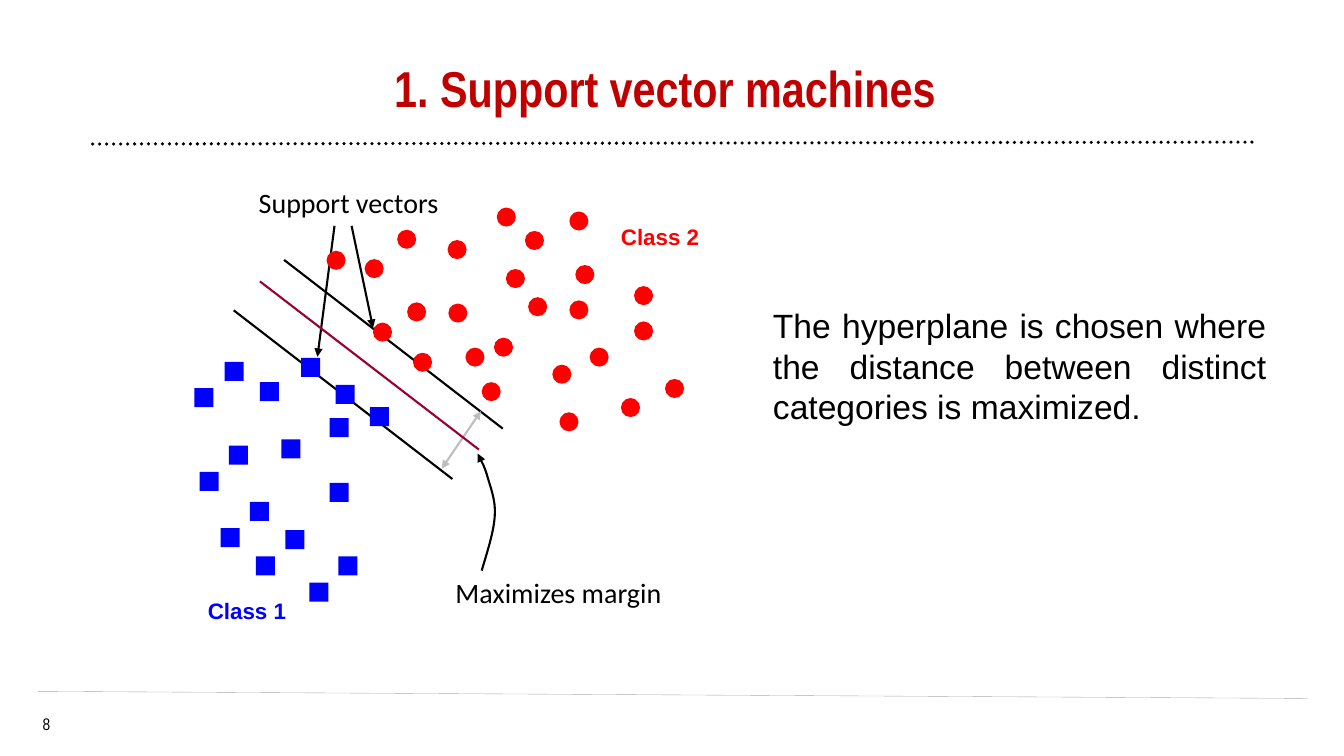
from dataclasses import dataclass
from typing import Optional

from lxml.etree import SubElement
from pptx import Presentation
from pptx.dml.color import RGBColor as Color
from pptx.enum.dml import MSO_LINE as Dash
from pptx.enum.shapes import MSO_CONNECTOR as Connector, MSO_SHAPE as Preset
from pptx.enum.text import MSO_ANCHOR as Anchor, MSO_AUTO_SIZE as AutoSize, PP_ALIGN as Align
from pptx.oxml.ns import qn
from pptx.util import Cm, Pt


@dataclass(frozen=True)
class Theme:
    black: str = "000000"
    title: str = "C00000"
    class_one: str = "0000FF"
    class_two: str = "FF0000"
    hyperplane: str = "990033"
    margin: str = "BDBEC0"
    footer: str = "A6AAA9"
    heading_font: str = "Arial Narrow"
    body_font: str = "Arial"
    note_font: str = "Calibri"
    title_size: int = 36
    body_size: int = 24
    note_size: int = 20
    class_size: int = 16
    number_size: int = 12


THEME = Theme()


@dataclass(frozen=True)
class Label:
    text: str
    area: tuple[float, float, float, float]
    font: str
    size: int
    color: str = THEME.black
    bold: bool = False
    align: Align = Align.LEFT
    wrap: bool = True
    inset: bool = True


@dataclass(frozen=True)
class Line:
    start: tuple[float, float]
    end: tuple[float, float]
    color: str = THEME.black
    width: float = 1.5
    dash: Optional[Dash] = None
    arrows: tuple[str, ...] = ()


@dataclass(frozen=True)
class Markers:
    preset: Preset
    fill: str
    corners: tuple[tuple[float, float], ...]


HEAD, TAIL = "a:headEnd", "a:tailEnd"
MARKER_SIZE = Cm(0.48)

LINES = (
    Line((0.94, 17.42), (32.97, 17.6), THEME.footer, 0.25),
    Line((31.55, 3.58), (2.24, 3.63), width=2.5, dash=Dash.ROUND_DOT),
    Line((7.16, 6.55), (12.67, 10.8)),
    Line((5.89, 7.82), (11.4, 12.07)),
    Line((8.43, 5.69), (8, 8.99), arrows=(TAIL,)),
    Line((8.86, 5.69), (9.4, 8.26), arrows=(TAIL,)),
    Line((11.13, 11.81), (12.12, 10.36), THEME.margin, arrows=(HEAD, TAIL)),
)
HYPERPLANE = Line((6.55, 7.09), (12.07, 11.33), THEME.hyperplane)

MARGIN_CURVE = (
    (12.14, 14.38),
    (12.29, 13.87), (12.45, 13.39), (12.47, 12.98),
    (12.5, 12.6), (12.34, 12.22), (12.27, 11.96),
    (12.19, 11.71), (12.07, 11.51), (12.04, 11.43),
)

CLASSES = (
    Markers(Preset.OVAL, THEME.class_two, (
        (9.19, 6.53), (8.23, 6.32), (12.14, 9.63), (10.26, 7.62), (11.73, 8.76),
        (11.3, 7.65), (14.35, 5.33), (12.75, 6.78), (14.35, 7.57), (11.28, 6.05),
        (13.23, 5.82), (12.45, 8.51), (12.52, 5.23), (15.98, 7.21), (14.5, 6.68),
        (13.31, 7.49), (13.92, 9.19), (10.01, 5.79), (16.76, 9.55), (14.86, 8.76),
        (15.65, 10.03), (15.98, 8.1), (14.1, 10.39), (9.4, 8.13), (10.41, 8.89))),
    Markers(Preset.RECTANGLE, THEME.class_one, (
        (8.31, 10.54), (6.55, 9.63), (5.77, 11.23), (8.31, 12.17), (7.59, 9.02),
        (8.46, 9.7), (9.32, 10.26), (7.09, 11.07), (6.3, 12.65), (7.19, 13.36),
        (5.03, 11.89), (5.56, 13.31), (6.45, 14.02), (5.66, 9.12), (4.9, 9.78),
        (8.53, 14.02), (7.8, 14.68))),
)

TITLE = Label("1. Support vector machines", (9.68, 1.32, 15.39, 1.96),
              THEME.heading_font, THEME.title_size, THEME.title, bold=True)
LABELS = (
    Label("8", (0.56, 17.98, 1.22, 0.51), THEME.heading_font, THEME.number_size,
          align=Align.CENTER, inset=False),
    Label("Support vectors", (6.27, 4.55, 5.08, 1.12), THEME.note_font,
          THEME.note_size, wrap=False),
    Label("Maximizes margin", (11.23, 14.38, 7.32, 1.12), THEME.note_font, THEME.note_size),
    Label("Class 2", (15.29, 5.51, 2.69, 0.94), THEME.body_font, THEME.class_size,
          THEME.class_two, bold=True, align=Align.CENTER),
    Label("Class 1", (4.88, 14.91, 2.69, 0.94), THEME.body_font, THEME.class_size,
          THEME.class_one, bold=True, align=Align.CENTER),
    Label("The hyperplane is chosen where the distance between distinct categories is maximized.",
          (19.23, 7.57, 12.93, 3.33), THEME.body_font, THEME.body_size, align=Align.JUSTIFY),
)


def write_label(box, label: Label) -> None:
    box.left, box.top, box.width, box.height = map(Cm, label.area)
    frame = box.text_frame
    frame.text = label.text
    frame.word_wrap = label.wrap
    frame.auto_size = AutoSize.NONE
    if not label.inset:
        frame.margin_left = frame.margin_right = frame.margin_top = frame.margin_bottom = 0
    para = frame.paragraphs[0]
    para.alignment = label.align
    font = para.runs[0].font
    font.name, font.size, font.bold = label.font, Pt(label.size), label.bold
    font.color.rgb = Color.from_string(label.color)


def add_title(page) -> None:
    title = page.shapes.title
    write_label(title, TITLE)
    title.text_frame.vertical_anchor = Anchor.MIDDLE
    title.text_frame.paragraphs[0].line_spacing = 0.9


def style_line(shape, color: str, width: float, arrows: tuple[str, ...]) -> None:
    shape.line.color.rgb = Color.from_string(color)
    shape.line.width = Pt(width)
    for arrow in arrows:
        SubElement(shape.line._get_or_add_ln(), qn(arrow), type="triangle")


def add_line(page, line: Line) -> None:
    connector = page.shapes.add_connector(
        Connector.STRAIGHT, *map(Cm, line.start + line.end))
    if line.dash is not None:
        connector.line.dash_style = line.dash
        connector.line._get_or_add_ln().set("cap", "rnd")
    style_line(connector, line.color, line.width, line.arrows)
    SubElement(connector._element.spPr, qn("a:effectLst"))


def add_markers(page, markers: Markers) -> None:
    for left, top in markers.corners:
        marker = page.shapes.add_shape(
            markers.preset, Cm(left), Cm(top), MARKER_SIZE, MARKER_SIZE)
        marker.shadow.inherit = False
        marker.fill.solid()
        marker.fill.fore_color.rgb = Color.from_string(markers.fill)
        marker.line.fill.background()


def add_margin_curve(page) -> None:
    points = [(Cm(x), Cm(y)) for x, y in MARGIN_CURVE]
    builder = page.shapes.build_freeform(*points[0])
    builder.add_line_segments(points[1:], close=False)
    curve = builder.convert_to_shape()
    segments = list(curve._element.iter(qn("a:lnTo")))
    for first in range(0, len(segments), 3):
        bezier = SubElement(segments[first].getparent(), qn("a:cubicBezTo"))
        for segment in segments[first:first + 3]:
            bezier.append(segment[0])
            segment.getparent().remove(segment)
    curve.shadow.inherit = False
    curve.fill.background()
    style_line(curve, THEME.black, 1.5, (TAIL,))


def main() -> None:
    deck = Presentation()
    deck.slide_width, deck.slide_height = Cm(33.87), Cm(19.05)
    page = deck.slides.add_slide(deck.slide_layouts.get_by_name("Title Only"))
    add_title(page)
    for line in LINES:
        add_line(page, line)
    add_margin_curve(page)
    for markers in CLASSES:
        add_markers(page, markers)
    add_line(page, HYPERPLANE)
    for label in LABELS:
        write_label(page.shapes.add_textbox(0, 0, 0, 0), label)
    deck.save("out.pptx")


if __name__ == "__main__":
    main()
